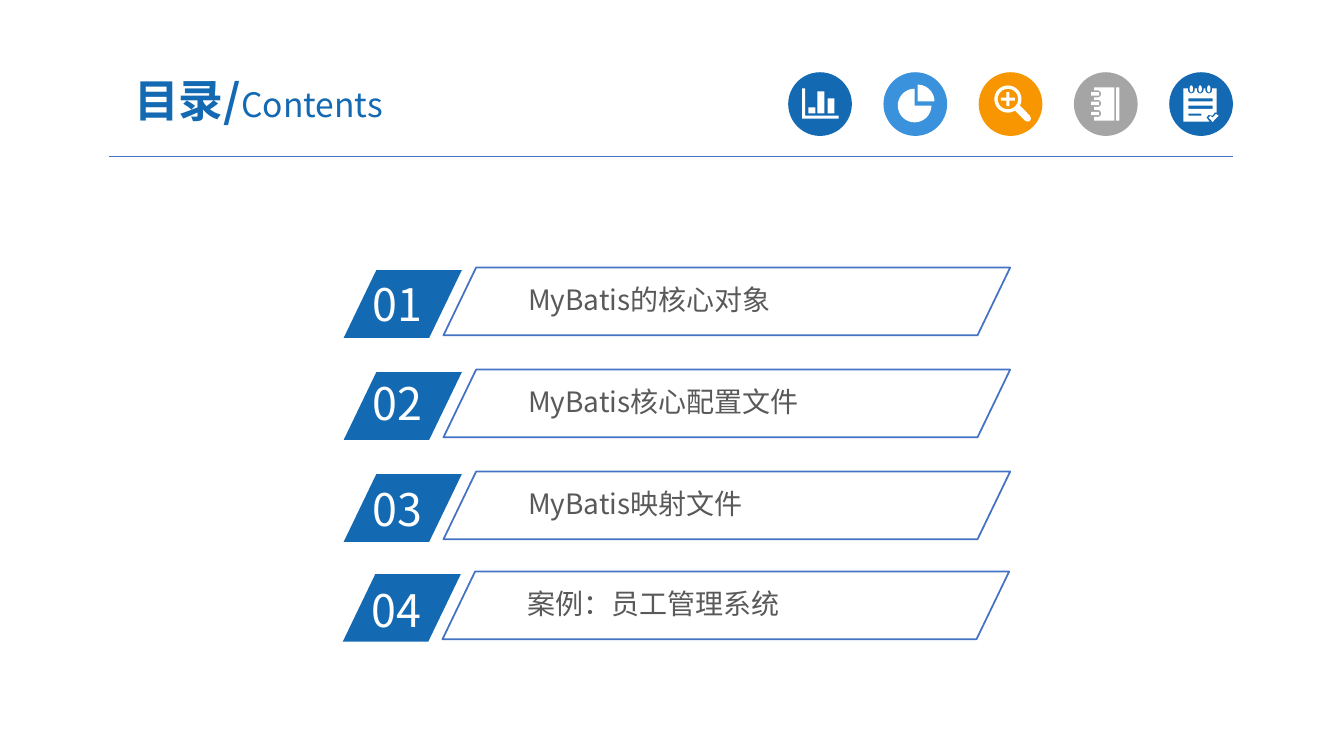
import math

import pptx
import pptx.dml.color
import pptx.enum.shapes
import pptx.enum.text
import pptx.oxml
import pptx.util

FONT = "Noto Sans CJK SC"
BLUE, SKY, ORANGE, GREY = "1369B2", "3992DB", "F79600", "A5A5A5"
OUTLINE, WHITE, BODY = "4472C4", "FFFFFF", "595959"

TITLE = [
    ("目录/", {"size": 32, "bold": True, "color": BLUE}),
    ("Contents", {"size": 24, "bold": False, "color": BLUE}),
]
# number, label, left of the row, top of the row, drop of the number text
CHAPTERS = [
    ("01", "MyBatis的核心对象", 245.5, 191.1, 3.3),
    ("02", "MyBatis核心配置文件", 245.5, 264, 1),
    ("03", "MyBatis映射文件", 245.5, 336.8, 3.8),
    ("04", "案例：员工管理系统", 244.8, 408.2, 4.4),
]
ICON_LEFT, ICON_TOP, ICON_SIZE, ICON_STEP = 563, 51.6, 45.5, 68.04

Pt = pptx.util.Pt
SHAPES = pptx.enum.shapes.MSO_SHAPE


def box(left, top, width, height):
    right, bottom = left + width, top + height
    return [(left, top), (right, top), (right, bottom), (left, bottom)]


def arc(x, y, radius_x, radius_y, start=0, end=360):
    """Points on an arc, clockwise in degrees from three o'clock."""
    angles = [math.radians(start + (end - start) * i / 36) for i in range(37)]
    return [(x + radius_x * math.cos(a), y + radius_y * math.sin(a)) for a in angles]


def bar_chart():
    axes = [(10, 11.5), (12.2, 11.5), (12.2, 31), (36, 31), (36, 33.1), (10, 33.1)]
    bars = [(14.4, 25.2), (20.9, 13.7), (28.1, 18.7)]
    return [axes] + [box(left, top, 5, 29.5 - top) for left, top in bars]


def pie_chart():
    return [
        [(24.5, 20.9)] + arc(24.5, 20.9, 12, 12, 270, 360),
        [(22.3, 23.8)] + arc(22.3, 23.8, 12, 12, 0, 270),
    ]


def magnifier():
    x, y, arm, half = 20.9, 19.2, 5, 1.1
    handle = [(25.9, 27.4), (28, 26.2), (29.5, 23.8), (36.5, 31),
              (37.4, 33.1), (36.5, 35), (34.6, 35.3), (33.1, 34.6)]
    plus = [(-half, -arm), (half, -arm), (half, -half), (arm, -half),
            (arm, half), (half, half), (half, arm), (-half, arm),
            (-half, half), (-arm, half), (-arm, -half), (-half, -half)]
    return [arc(x, y, 9.7, 9.7), arc(x, y, 7.3, 7.3), handle,
            [(x + dx, y + dy) for dx, dy in plus]]


def notebook():
    rings = [15.5, 22.3, 29.5]
    cover = [(14.4, 10.8)]
    for y in rings:
        cover += [(14.4, y - 2.5)] + arc(17, y, 2.4, 2.5, -90, 90) + [(14.4, y + 2.5)]
    cover += [(14.4, 34.6), (28.8, 34.6), (28.8, 10.8)]
    return [cover, box(30.2, 10.8, 2.2, 23.8)] + [box(12.2, y - 1.2, 5.8, 2.4) for y in rings]


def notepad():
    rings = [15.8, 22.1, 28.3]
    page = [(10.1, 11.5)]
    for x in rings:
        page += [(x - 2.4, 11.5)] + arc(x, 12.7, 2.4, 2.4, 180, 0) + [(x + 2.4, 11.5)]
    page += [(33.8, 11.5), (33.8, 28.8), (32.4, 28.8), (31, 31),
             (28, 30.5), (26.6, 32.4), (28.8, 35.3), (10.1, 35.3)]
    tick = [(28.1, 32.4), (29.5, 31.2), (31, 32.4), (33.4, 29.8), (35.3, 31), (31, 35.5)]
    lines = [box(13.7, 18.7, 17.3, 2.2), box(13.7, 23.8, 17.3, 2.4), box(13.7, 29.5, 9.3, 1.5)]
    return [page, tick] + lines + [arc(x, 11.9, 1.2, 2.5) for x in rings]


ICONS = [(BLUE, bar_chart), (SKY, pie_chart), (ORANGE, magnifier),
         (GREY, notebook), (BLUE, notepad)]


def rgb(value):
    return pptx.dml.color.RGBColor.from_string(value)


def style(shape, fill=None, line=None, width=1.25):
    shape.shadow.inherit = False
    if fill:
        shape.fill.solid()
        shape.fill.fore_color.rgb = rgb(fill)
    else:
        shape.fill.background()
    if line:
        shape.line.color.rgb = rgb(line)
        shape.line.width = Pt(width)
    else:
        shape.line.fill.background()


def add_preset(slide, kind, bounds, **look):
    shape = slide.shapes.add_shape(kind, *map(Pt, bounds))
    style(shape, **look)
    return shape


def add_slanted(slide, bounds, **look):
    shape = add_preset(slide, SHAPES.PARALLELOGRAM, bounds, **look)
    shape.adjustments[0] = 0.482


def add_outline(slide, contours, left, top):
    """Draw all contours as one white shape; inner contours are holes."""
    builder = None
    for contour in contours:
        first, *rest = [(Pt(left + x), Pt(top + y)) for x, y in contour]
        if builder is None:
            builder = slide.shapes.build_freeform(*first, scale=1.0)
        else:
            builder.move_to(*first)
        builder.add_line_segments(rest, close=True)
    style(builder.convert_to_shape(), fill=WHITE)


def add_text(slide, bounds, runs, margins=(7.2, 3.6), frame_format=None, alignment=None):
    frame = slide.shapes.add_textbox(*map(Pt, bounds)).text_frame
    side, edge = map(Pt, margins)
    settings = {"word_wrap": True, "margin_left": side, "margin_right": side,
                "margin_top": edge, "margin_bottom": edge, **(frame_format or {})}
    for name, value in settings.items():
        setattr(frame, name, value)
    paragraph = frame.paragraphs[0]
    paragraph.alignment = alignment
    for text, look in runs:
        run = paragraph.add_run()
        run.text = text
        run.font.color.rgb = rgb(look["color"])
        settings = {"name": FONT, "size": Pt(look["size"]), "bold": look.get("bold", False)}
        for name, value in settings.items():
            setattr(run.font, name, value)
        east_asian = run._r.get_or_add_rPr().makeelement(pptx.oxml.ns.qn("a:ea"), {"typeface": FONT})
        run._r.rPr.append(east_asian)


def add_header(slide):
    rule = slide.shapes.add_connector(
        pptx.enum.shapes.MSO_CONNECTOR.STRAIGHT, Pt(77.8), Pt(111.6), Pt(880.6), Pt(111.6))
    rule.line.color.rgb = rgb(OUTLINE)
    rule.line.width = Pt(0.5)
    properties = rule._element.spPr
    properties.append(properties.makeelement(pptx.oxml.ns.qn("a:effectLst"), {}))
    for index, (color, contours) in enumerate(ICONS):
        left = ICON_LEFT + index * ICON_STEP
        add_preset(slide, SHAPES.OVAL, (left, ICON_TOP, ICON_SIZE, ICON_SIZE), fill=color)
        add_outline(slide, contours(), left, ICON_TOP)
    add_text(slide, (66.2, 45.4, 236.9, 51.8), TITLE, (9.4, 5),
             {"vertical_anchor": pptx.enum.text.MSO_ANCHOR.MIDDLE},
             pptx.enum.text.PP_ALIGN.CENTER)


def add_chapter(slide, number, label, left, top, drop):
    grow = {"auto_size": pptx.enum.text.MSO_AUTO_SIZE.SHAPE_TO_FIT_TEXT}
    add_slanted(slide, (left, top + 1.8, 84.4, 48.4), fill=BLUE)
    add_text(slide, (left + 13.7, top + drop, 80.6, 46),
             [(number, {"size": 32, "color": WHITE})], frame_format=grow)
    add_text(slide, (left + 126.7, top + 7.5, 296.6, 29.5),
             [(label, {"size": 20, "color": BODY})], (5, 2.9), grow)
    add_slanted(slide, (left + 71.3, top, 404.8, 48.4), line=OUTLINE)


def main():
    presentation = pptx.Presentation()
    presentation.slide_width, presentation.slide_height = Pt(960), Pt(540)
    slide = presentation.slides.add_slide(presentation.slide_layouts[6])
    add_header(slide)
    for chapter in CHAPTERS:
        add_chapter(slide, *chapter)
    presentation.save("out.pptx")


if __name__ == "__main__":
    main()
